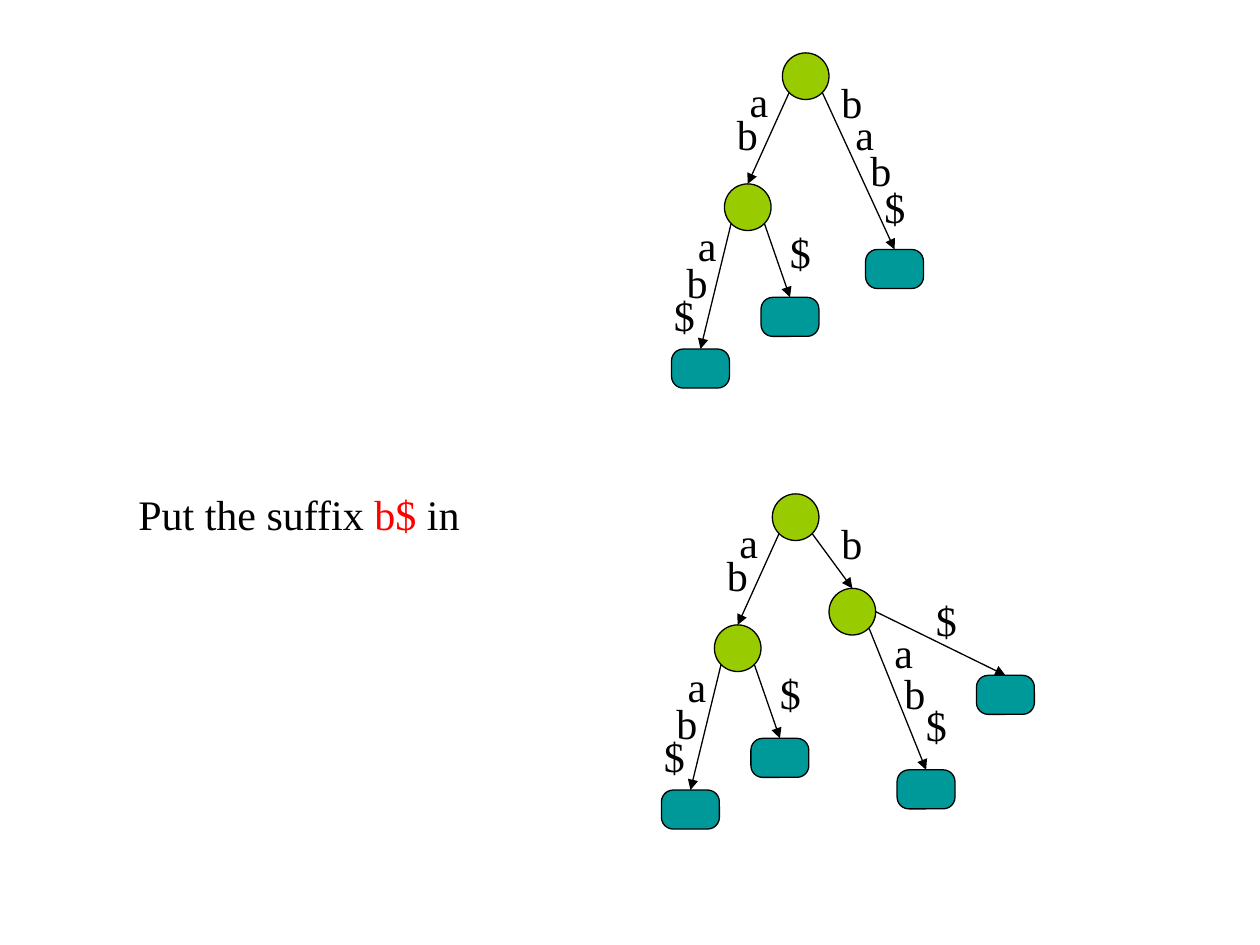
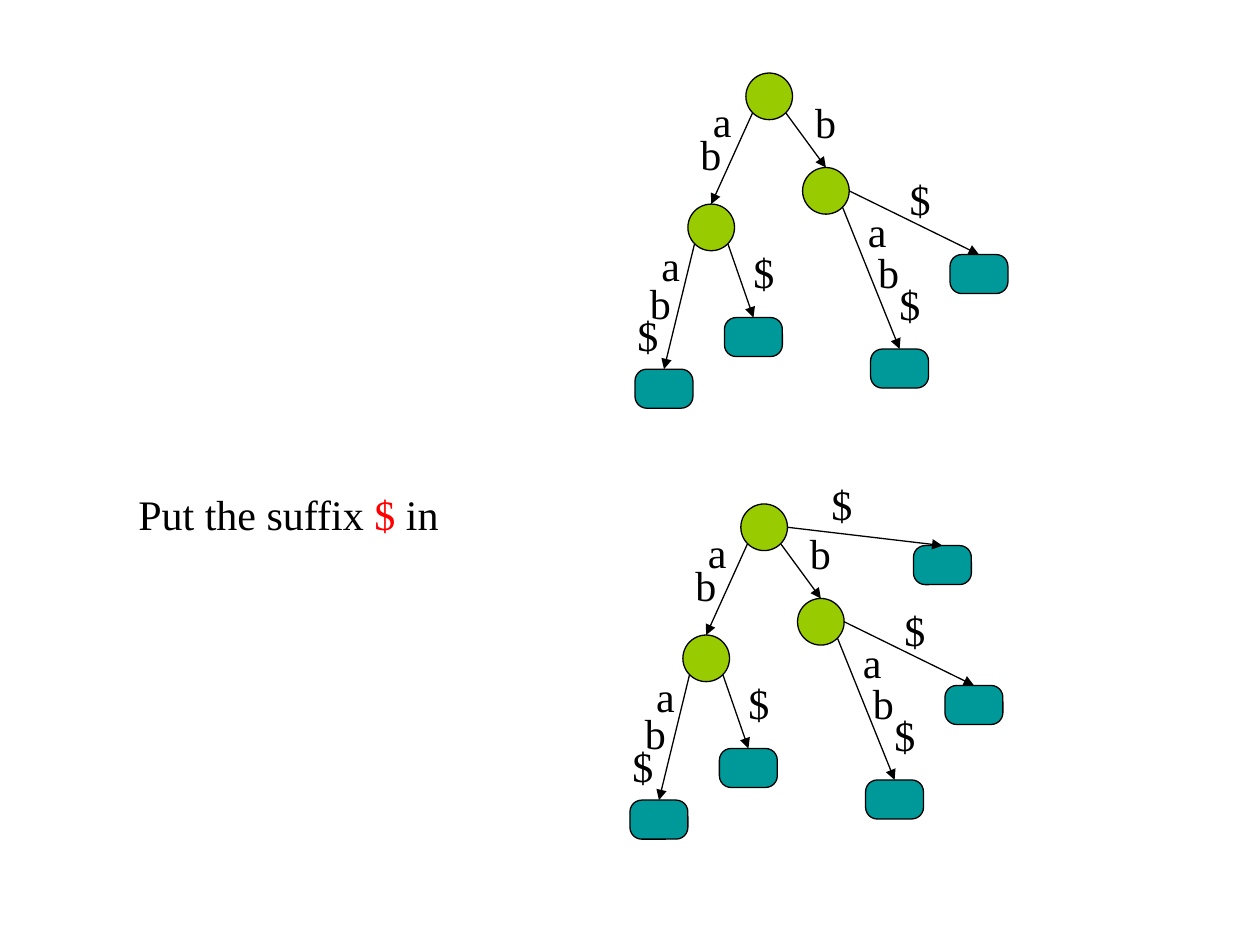
"""Build two slides that insert the last suffixes of abab$ into a suffix tree."""
import pptx
import pptx.util
import pptx.dml.color
import pptx.enum.shapes
import pptx.enum.text
import pptx.oxml.ns
import lxml.etree

Inches, Pt = pptx.util.Inches, pptx.util.Pt
KIND = pptx.enum.shapes.MSO_SHAPE
BLACK, RED, GREEN, TEAL = "000000", "FF0000", "99CC00", "009999"
FONT, SIZE = "Times New Roman", 24
NODE, LEAF = (0.37, 0.37), (0.46, 0.31)
EXITS = {"left": (0.14, 0.86), "right": (0.86, 0.86), "side": (1, 0.5)}

# Branch: parent, exit, name, size, offset from root, letters with offsets
LEFT = [
    ("root", "left", "ab", NODE, (-0.46, 1.04),
     [("a", -0.36, 0.13), ("b", -0.46, 0.39)]),
    ("ab", "left", "abab$", LEAF, (-0.88, 2.35),
     [("a", -0.77, 1.27), ("b", -0.86, 1.57), ("$", -0.96, 1.83)]),
    ("ab", "right", "ab$", LEAF, (-0.17, 1.94), [("$", -0.04, 1.33)]),
]
WHOLE = [
    ("root", "right", "bab$", LEAF, (0.66, 1.56),
     [("b", 0.37, 0.14), ("a", 0.48, 0.39), ("b", 0.6, 0.68), ("$", 0.71, 0.97)]),
]
SPLIT = [
    ("root", "right", "b", NODE, (0.45, 0.75), [("b", 0.45, 0.14)]),
    ("b", "right", "bab$", LEAF, (0.99, 2.19),
     [("a", 0.87, 1), ("b", 0.95, 1.33), ("$", 1.12, 1.58)]),
    ("b", "side", "b$", LEAF, (1.62, 1.44), [("$", 1.2, 0.75)]),
]
END = [("root", "side", "$", LEAF, (1.37, 0.33), [("$", 0.62, -0.25)])]

SLIDES = [
    ("b$", [((6.21, 0.42), LEFT + WHOLE), ((6.13, 3.92), LEFT + SPLIT)]),
    ("$", [((5.92, 0.58), LEFT + SPLIT), ((5.88, 4), LEFT + SPLIT + END)]),
]


def color(code):
    return pptx.dml.color.RGBColor.from_string(code)


def write(slide, x, y, width, runs):
    box = slide.shapes.add_textbox(Inches(x), Inches(y), Inches(width), Inches(0.5))
    frame = box.text_frame
    frame.word_wrap = True
    frame.auto_size = pptx.enum.text.MSO_AUTO_SIZE.SHAPE_TO_FIT_TEXT
    para = frame.paragraphs[0]
    para.space_before = Pt(SIZE / 2)
    for text, code in runs:
        run = para.add_run()
        run.text = text
        run.font.name, run.font.size = FONT, Pt(SIZE)
        run.font.color.rgb = color(code)


def draw(slide, size, x, y):
    kind, fill = (KIND.OVAL, GREEN) if size == NODE else (KIND.ROUNDED_RECTANGLE, TEAL)
    shape = slide.shapes.add_shape(kind, Inches(x), Inches(y), *map(Inches, size))
    if size == LEAF:
        shape.adjustments[0] = 0.3
    shape.shadow.inherit = False
    shape.fill.solid()
    shape.fill.fore_color.rgb = color(fill)
    shape.line.color.rgb = color(BLACK)
    shape.line.width = Pt(0.75)
    return shape


def link(slide, start, side, end):
    across, down = EXITS[side]
    line = slide.shapes.add_connector(
        pptx.enum.shapes.MSO_CONNECTOR.STRAIGHT,
        int(start.left + across * start.width), int(start.top + down * start.height),
        end.left + end.width // 2, end.top)
    line.line.color.rgb = color(BLACK)
    line.line.width = Pt(0.75)
    qn = pptx.oxml.ns.qn
    tail = lxml.etree.SubElement(line.line._get_or_add_ln(), qn("a:tailEnd"))
    tail.set("type", "triangle")
    lxml.etree.SubElement(line._element.spPr, qn("a:effectLst"))


def grow(slide, origin, tree):
    left, top = origin
    nodes = {"root": draw(slide, NODE, left, top)}
    for parent, side, name, size, (x, y), letters in tree:
        nodes[name] = draw(slide, size, left + x, top + y)
        link(slide, nodes[parent], side, nodes[name])
        for text, x, y in letters:
            write(slide, left + x, top + y, 0.42, [(text, BLACK)])


deck = pptx.Presentation()
deck.slide_width, deck.slide_height = Inches(10), Inches(7.5)
for suffix, trees in SLIDES:
    slide = deck.slides.add_slide(deck.slide_layouts[6])
    write(slide, 1, 3.83, 3.83,
          [("Put the suffix ", BLACK), (suffix, RED), (" in", BLACK)])
    for origin, tree in trees:
        grow(slide, origin, tree)
deck.save("out.pptx")
